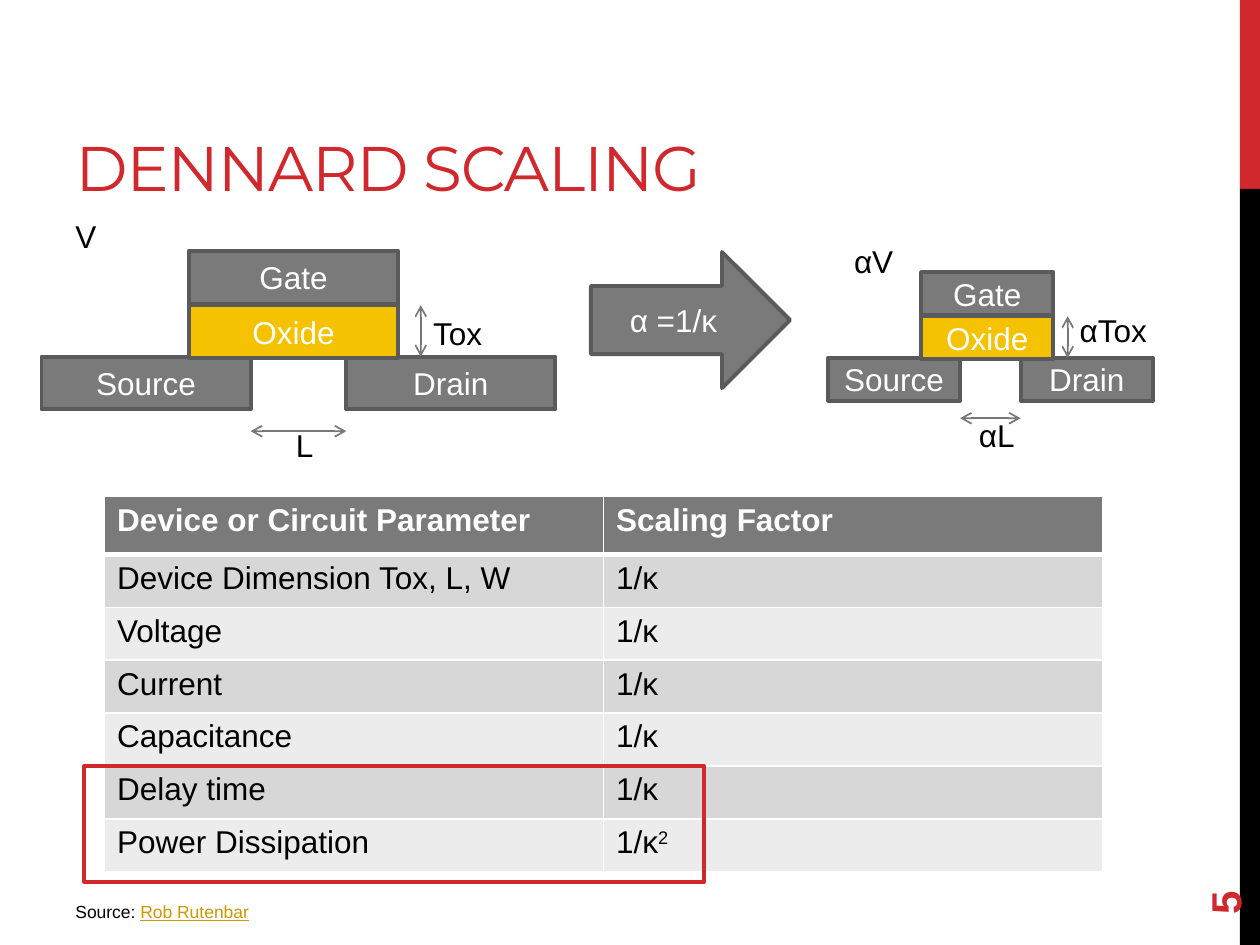
"""Build the Dennard scaling slide."""
from lxml import etree
from pptx import Presentation
from pptx.dml.color import RGBColor
from pptx.enum.shapes import MSO_CONNECTOR, MSO_SHAPE
from pptx.enum.text import MSO_ANCHOR, MSO_AUTO_SIZE, PP_ALIGN
from pptx.oxml.ns import qn
from pptx.util import Inches, Pt

RED = RGBColor(0xD1, 0x28, 0x2E)
BLACK = RGBColor(0, 0, 0)
WHITE = RGBColor(0xFF, 0xFF, 0xFF)
GRAY = RGBColor(0x7A, 0x7A, 0x7A)
EDGE = RGBColor(0x5A, 0x5A, 0x5A)
WIRE = RGBColor(0x77, 0x77, 0x77)
GOLD = RGBColor(0xF5, 0xC2, 0x01)
LINK = RGBColor(0xCC, 0x99, 0x00)
DARK = RGBColor(0xD7, 0xD7, 0xD7)
LIGHT = RGBColor(0xEC, 0xEC, 0xEC)
RECT, ARROW = MSO_SHAPE.RECTANGLE, MSO_SHAPE.RIGHT_ARROW
LINE = MSO_CONNECTOR.STRAIGHT
LEFT, CENTER = PP_ALIGN.LEFT, PP_ALIGN.CENTER
TOP, MIDDLE, BOTTOM = MSO_ANCHOR.TOP, MSO_ANCHOR.MIDDLE, MSO_ANCHOR.BOTTOM
GROW, FIXED = MSO_AUTO_SIZE.SHAPE_TO_FIT_TEXT, MSO_AUTO_SIZE.NONE

ROWS = [
    ("Device or Circuit Parameter", "Scaling Factor"),
    ("Device Dimension Tox, L, W", "1/κ"),
    ("Voltage", "1/κ"),
    ("Current", "1/κ"),
    ("Capacitance", "1/κ"),
    ("Delay time", "1/κ"),
    ("Power Dissipation", "1/κ"),
]


def write(frame, text, size=18, color=BLACK, bold=False, font="Arial",
          align=LEFT, under=False, **attrs):
    para = frame.paragraphs[0]
    para.alignment = align
    run = para.add_run()
    run.text = text
    face = run.font
    face.name, face.size, face.bold = font, Pt(size), bold
    face.color.rgb = color
    if under:
        face.underline = True
    for key, value in attrs.items():
        run._r.get_or_add_rPr().set(key, str(value))


def place(shape, box):
    shape.left, shape.top, shape.width, shape.height = map(Inches, box)


class Deck:
    def __init__(self):
        self.file = Presentation()
        self.file.slide_width, self.file.slide_height = Inches(10), Inches(7.5)
        self.slide = self.file.slides.add_slide(self.file.slide_layouts[5])
        self.shapes = self.slide.shapes

    def title(self, text, box):
        shape = self.slide.shapes.title
        place(shape, box)
        frame = shape.text_frame
        frame.vertical_anchor, frame.auto_size = BOTTOM, FIXED
        write(frame, text, size=36, color=RED, font="Montserrat", spc=-60)

    def shape(self, box, fill=None, line=None, text="", kind=RECT):
        shape = self.shapes.add_shape(kind, *map(Inches, box))
        shape.shadow.inherit = False
        if fill is None:
            shape.fill.background()
        else:
            shape.fill.solid()
            shape.fill.fore_color.rgb = fill
        if line is None:
            shape.line.fill.background()
        else:
            shape.line.color.rgb, shape.line.width = line, Pt(2.25)
        if text:
            frame = shape.text_frame
            frame.margin_left = frame.margin_right = 0
            frame.vertical_anchor = MIDDLE
            write(frame, text, color=WHITE, align=CENTER)

    def label(self, text, box, turn=0, anchor=TOP, fit=GROW, **style):
        shape = self.shapes.add_textbox(*map(Inches, box))
        shape.rotation = turn
        frame = shape.text_frame
        frame.word_wrap, frame.auto_size = True, fit
        frame.vertical_anchor = anchor
        write(frame, text, **style)
        return frame

    def span(self, *ends):
        wire = self.shapes.add_connector(LINE, *map(Inches, ends))
        wire.line.color.rgb, wire.line.width = WIRE, Pt(1)
        line = wire.line._get_or_add_ln()
        for tag in ("a:headEnd", "a:tailEnd"):
            etree.SubElement(line, qn(tag), type="arrow")
        etree.SubElement(wire._element.spPr, qn("a:effectLst"))

    def device(self, left, base, wide, high, labels):
        self.shapes = self.slide.shapes.add_group_shape().shapes
        gate, drain = left + 0.705 * wide, left + 1.457 * wide
        oxide = base - 0.97 * high
        parts = [
            ("Gate", gate, base - 2 * high, GRAY),
            ("Source", left, base, GRAY),
            ("Drain", drain, base, GRAY),
            ("Oxide", gate, oxide, GOLD),
        ]
        for text, x, y, fill in parts:
            self.shape((x, y, wide, high), fill, EDGE, text)
        side, low = gate + 1.108 * wide, base + 1.41 * high
        self.span(side, oxide, side, base)
        self.span(left + wide, low, drain, low)
        for text, box in labels:
            self.label(text, box)
        self.shapes = self.slide.shapes

    def border(self, cell, tag, width):
        line = etree.SubElement(cell._tc.get_or_add_tcPr(), qn(tag),
                                w=str(Pt(width)))
        fill = etree.SubElement(line, qn("a:solidFill"))
        etree.SubElement(fill, qn("a:srgbClr"), val=str(WHITE))

    def table(self, rows, box):
        grid = self.shapes.add_table(len(rows), 2, *map(Inches, box)).table
        for r, row in enumerate(rows):
            grid.rows[r].height = Inches(0.42 if r else 0.46)
            for c, text in enumerate(row):
                cell = grid.cell(r, c)
                for tag in ("a:lnL", "a:lnR", "a:lnT", "a:lnB"):
                    thick = (r, tag) in ((0, "a:lnB"), (1, "a:lnT"))
                    self.border(cell, tag, 3 if thick else 1)
                cell.fill.solid()
                cell.fill.fore_color.rgb = (
                    GRAY if r == 0 else DARK if r % 2 else LIGHT)
                write(cell.text_frame, text, bold=r == 0,
                      color=BLACK if r else WHITE)
        return grid


def main():
    deck = Deck()
    deck.shape((9.84, 0, 0.16, 1.5), RED)
    deck.shape((9.84, 1.5, 0.16, 6), BLACK)
    deck.title("DENNARD SCALING", (0.5, 0.17, 6.33, 1.5))
    deck.label("5", (9, 6.44, 1.44, 0.4), turn=270, anchor=MIDDLE, fit=FIXED,
               size=24, color=RED, bold=True)
    deck.device(0.33, 2.83, 1.66, 0.42, [
        ("Tox", (3.34, 2.44, 1, 0.4)),
        ("L", (2.25, 3.33, 0.75, 0.4)),
        ("V", (0.5, 1.67, 0.83, 0.4)),
    ])
    deck.device(6.57, 2.84, 1.05, 0.34, [
        ("αTox", (8.47, 2.42, 0.78, 0.4)),
        ("αL", (7.67, 3.25, 0.69, 0.4)),
        ("αV", (6.68, 1.87, 0.53, 0.4)),
    ])
    deck.shape((4.69, 2, 1.58, 1.08), GRAY, EDGE, "α =1/κ", ARROW)
    grid = deck.table(ROWS, (0.83, 3.94, 7.92, 2.98))
    write(grid.cell(len(ROWS) - 1, 1).text_frame, "2", baseline=30000)
    deck.shape((0.67, 6.08, 4.92, 0.92), line=RED)
    note = deck.label("Source: ", (0.5, 7.1, 3.75, 0.31), fit=FIXED, size=10)
    write(note, "Rob Rutenbar", size=10, color=LINK, under=True)
    deck.file.save("out.pptx")


if __name__ == "__main__":
    main()
